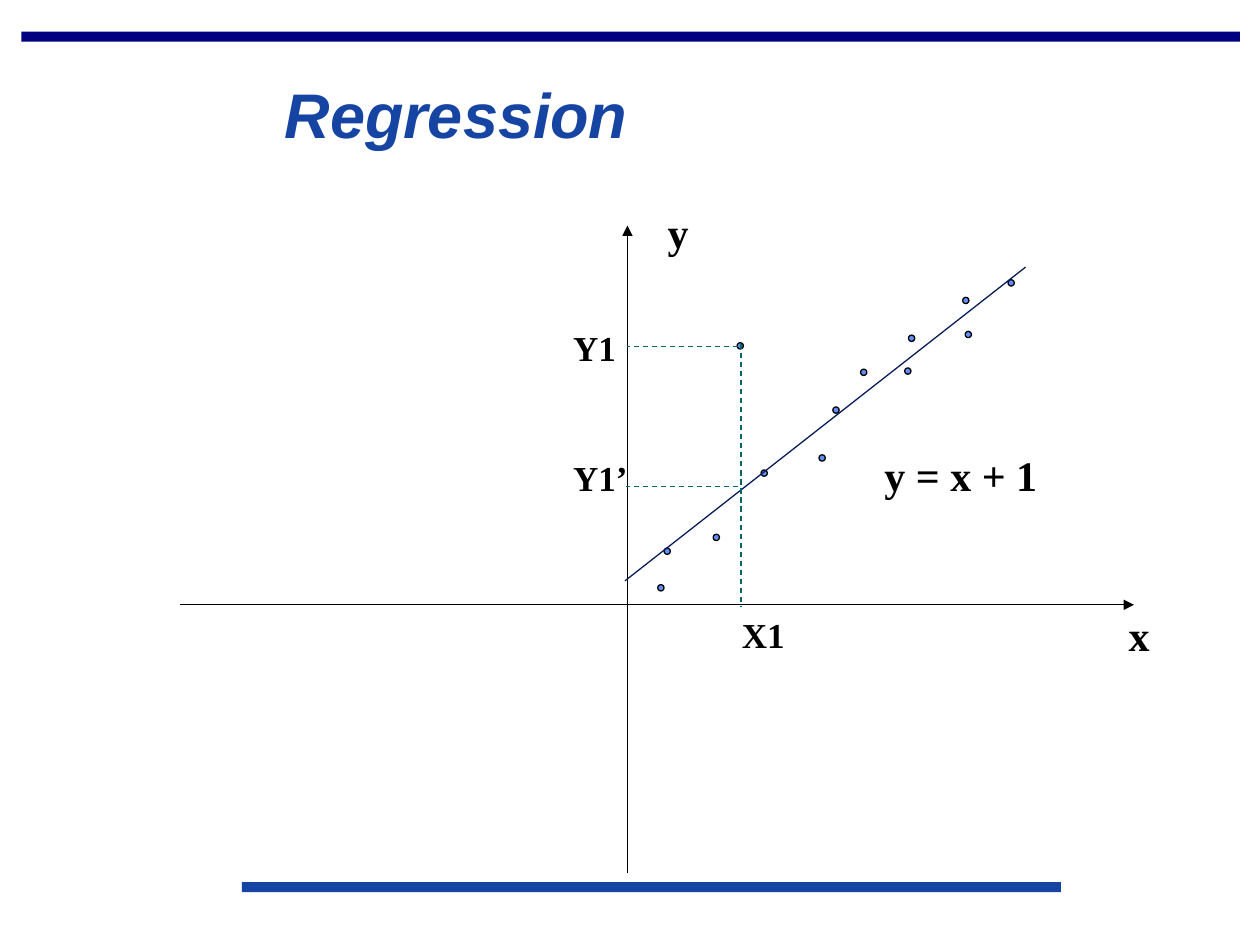
from pptx import Presentation
from pptx.dml.color import RGBColor
from pptx.enum.dml import MSO_LINE_DASH_STYLE as DASH
from pptx.enum.shapes import MSO_CONNECTOR, MSO_SHAPE
from pptx.enum.text import MSO_ANCHOR, MSO_AUTO_SIZE, PP_ALIGN
from pptx.oxml.ns import qn
from pptx.util import Inches, Pt
from lxml.etree import SubElement

COLORS = {
    "navy": "000080",
    "blue": "1544A3",
    "black": "000000",
    "point": "618FFD",
    "fit": "081D58",
    "guide": "006666",
}
POINT_SIZE = 0.05
POINTS = [
    (6.5, 3.61), (6.04, 3.73), (5.85, 2.72), (5.66, 4.24), (6.61, 3.23),
    (6.83, 2.93), (5.27, 4.35), (7.18, 2.92), (7.21, 2.66), (7.66, 2.63),
    (5.22, 4.64), (7.64, 2.36), (8, 2.22),
]
AXES = [((1.43, 4.8), (9, 4.8)), ((4.98, 6.93), (4.98, 1.79))]
GUIDES = [
    ((5.88, 2.73), (5.88, 4.82)),
    ((5.86, 2.75), (4.98, 2.75)),
    ((5.86, 3.86), (4.97, 3.86)),
]
LABELS = [
    ("x", 8.86, 4.79, 0.37, 0.5, 24),
    ("y", 5.2, 1.59, 0.37, 0.5, 24),
    ("y = x + 1", 6.92, 3.52, 1.41, 0.5, 24),
    ("X1", 5.79, 4.82, 0.54, 0.43, 20),
    ("Y1", 4.45, 2.54, 0.54, 0.43, 20),
    ("Y1’", 4.45, 3.57, 0.63, 0.43, 20),
]


def rgb(name):
    return RGBColor.from_string(COLORS[name])


class SlideBuilder:
    title_font = "Arial"
    label_font = "Times New Roman"
    line_width = Pt(0.75)

    def __init__(self, slide):
        self.slide = slide

    def style(self, font, name, size, color):
        font.name = name
        font.size = Pt(size)
        font.bold = True
        font.color.rgb = rgb(color)

    def title(self, text, x, y, w, h):
        sp = self.slide.shapes.title
        sp.left, sp.top, sp.width, sp.height = map(Inches, (x, y, w, h))
        tf = sp.text_frame
        tf.text = text
        tf.vertical_anchor = MSO_ANCHOR.MIDDLE
        p = tf.paragraphs[0]
        p.alignment = PP_ALIGN.CENTER
        p.line_spacing = 0.95
        self.style(p.font, self.title_font, 36, "blue")
        p.font.italic = True

    def shape(self, kind, x, y, w, h, fill, outline=None):
        sp = self.slide.shapes.add_shape(kind, *map(Inches, (x, y, w, h)))
        sp.shadow.inherit = False
        sp.fill.solid()
        sp.fill.fore_color.rgb = rgb(fill)
        if outline:
            sp.line.color.rgb = rgb(outline)
            sp.line.width = self.line_width
        else:
            sp.line.fill.background()

    def line(self, start, end, color, dash=None, arrow=False):
        sp = self.slide.shapes.add_connector(
            MSO_CONNECTOR.STRAIGHT, *map(Inches, (*start, *end)))
        sp.line.color.rgb = rgb(color)
        sp.line.width = self.line_width
        if dash:
            sp.line.dash_style = dash
        if arrow:
            SubElement(sp.line._get_or_add_ln(), qn("a:tailEnd"), type="triangle")
        SubElement(sp._element.spPr, qn("a:effectLst"))

    def label(self, text, x, y, w, h, size):
        sp = self.slide.shapes.add_textbox(*map(Inches, (x, y, w, h)))
        tf = sp.text_frame
        tf.text = text
        tf.word_wrap = False
        tf.auto_size = MSO_AUTO_SIZE.SHAPE_TO_FIT_TEXT
        self.style(tf.paragraphs[0].font, self.label_font, size, "black")


def main():
    prs = Presentation()
    prs.slide_width, prs.slide_height = Inches(10), Inches(7.5)
    s = SlideBuilder(prs.slides.add_slide(prs.slide_layouts[5]))

    s.shape(MSO_SHAPE.RECTANGLE, 0.17, 0.25, 9.67, 0.08, "navy")
    s.shape(MSO_SHAPE.RECTANGLE, 1.92, 7, 6.5, 0.08, "blue")
    s.title("Regression", 0.85, 0.3, 5.54, 1.25)

    for start, end in AXES:
        s.line(start, end, "black", arrow=True)
    for x, y in POINTS:
        s.shape(MSO_SHAPE.OVAL, x, y, POINT_SIZE, POINT_SIZE, "point", "black")
    s.line((4.96, 4.61), (8.14, 2.12), "fit")
    for start, end in GUIDES:
        s.line(start, end, "guide", dash=DASH.DASH)
    for label in LABELS:
        s.label(*label)

    prs.save("out.pptx")


if __name__ == "__main__":
    main()
